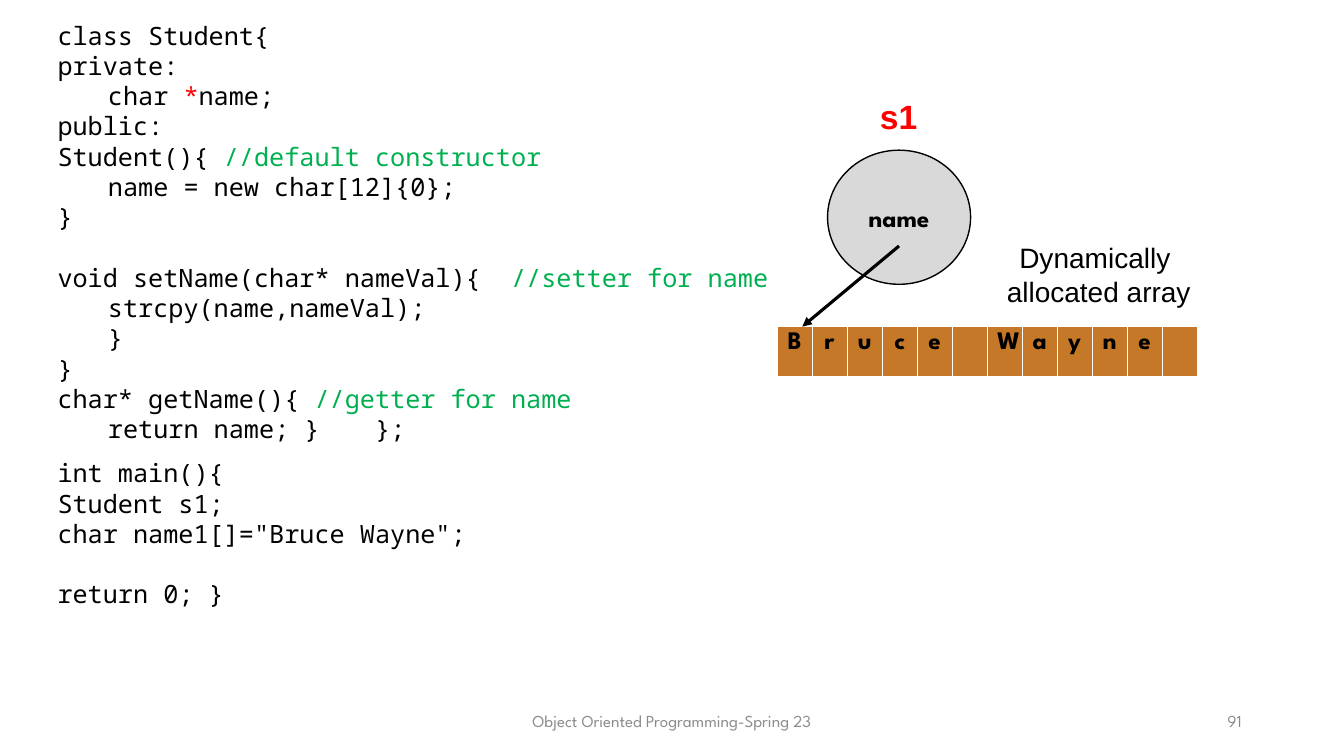
from pptx import Presentation
from pptx.dml.color import RGBColor
from pptx.enum.shapes import MSO_CONNECTOR as CONN, MSO_SHAPE as SHAPE
from pptx.enum.text import MSO_ANCHOR as ANCHOR, MSO_AUTO_SIZE as AUTO, PP_ALIGN as ALIGN
from pptx.oxml.ns import qn
from pptx.util import Pt
from lxml.etree import SubElement

THEME = {
    "black": "000000", "red": "FF0000", "green": "00B050", "grey": "8C8C8C",
    "circle": "D9D9D9", "cell": "C57827", "border": "FFFFFF",
    "code_font": "Noto Sans Mono", "label_font": "Arial", "body_font": "League Spartan",
    "code": 18, "label": 20, "title": 24, "footer": 12, "line_gap": 21.7,
}


def rgb(name):
    return RGBColor.from_string(THEME[name])


def write(tf, lines, font, size, align, bold=False):
    gap = 0
    for line in lines:
        if not line:
            gap = THEME["line_gap"]
            continue
        p = tf.paragraphs[0] if line is lines[0] else tf.add_paragraph()
        p.alignment = align
        if gap:
            p.space_before = Pt(gap)
            gap = 0
        for text, color in line:
            r = p.add_run()
            r.text = text
            r.font.name = THEME[font]
            r.font.size = Pt(THEME[size])
            r.font.bold = bold
            r.font.color.rgb = rgb(color)


class_code = [
    [("class Student{", "black")],
    [("private:", "black")],
    [("\tchar ", "black"), ("*", "red"), ("name;", "black")],
    [("public:", "black")],
    [("Student(){ ", "black"), ("//default constructor", "green")],
    [("\tname = new char[12]{0};", "black")],
    [("}", "black")],
    [],
    [("void setName(char* nameVal){  ", "black"), ("//setter for name", "green")],
    [("\tstrcpy(name,nameVal);", "black")],
    [("\t}", "black")],
    [("}", "black")],
    [("char* getName(){ ", "black"), ("//getter for name", "green")],
    [("\treturn name; }\t };", "black")],
]
main_code = [
    [("int main(){", "black")],
    [("Student s1;", "black")],
    [('char name1[]="Bruce Wayne";', "black")],
    [],
    [("return 0; }", "black")],
]
array_note = [[("Dynamically ", "black")], [("allocated array", "black")]]
footer = [[("Object Oriented Programming-Spring 23", "grey")]]

prs = Presentation()
prs.slide_width, prs.slide_height = Pt(960), Pt(540)
s = prs.slides.add_slide(prs.slide_layouts[6])

text_boxes = [
    (318, 500.5, 324, 28.8, footer, "body_font", "footer", ALIGN.CENTER, False, True),
    (678, 500.5, 216, 28.8, [[("91", "grey")]], "body_font", "footer", ALIGN.RIGHT, False, True),
    (34, 10.8, 682, 312.5, class_code, "code_font", "code", ALIGN.JUSTIFY, False, True),
    (34, 323.3, 480, 116.6, main_code, "code_font", "code", ALIGN.JUSTIFY, False, True),
    (621.4, 64.8, 41.8, 36, [[("s1", "red")]], "label_font", "title", ALIGN.LEFT, True, False),
    (711.4, 168.5, 146.9, 55.4, array_note, "label_font", "label", ALIGN.CENTER, False, False),
]
for x, y, w, h, lines, font, size, align, bold, wrap in text_boxes:
    tf = s.shapes.add_textbox(Pt(x), Pt(y), Pt(w), Pt(h)).text_frame
    tf.word_wrap = wrap
    if size == "footer":
        tf.vertical_anchor = ANCHOR.MIDDLE
    else:
        tf.auto_size = AUTO.SHAPE_TO_FIT_TEXT
    write(tf, lines, font, size, align, bold)

circle = s.shapes.add_shape(SHAPE.OVAL, Pt(591.1), Pt(107.3), Pt(102.2), Pt(95.8))
circle.shadow.inherit = False
circle.fill.solid()
circle.fill.fore_color.rgb = rgb("circle")
circle.line.color.rgb = rgb("black")
circle.line.width = Pt(1)
circle.text_frame.word_wrap = True
circle.text_frame.vertical_anchor = ANCHOR.MIDDLE
write(circle.text_frame, [[("name", "black")]], "body_font", "code", ALIGN.CENTER, True)

letters = "Bruce Wayne "
table = s.shapes.add_table(1, len(letters), Pt(555.1), Pt(233.3), Pt(300.24), Pt(36.7)).table
for col, letter in enumerate(letters):
    table.columns[col].width = Pt(25.02)
    cell = table.cell(0, col)
    tc_pr = cell._tc.get_or_add_tcPr()
    for side, width in (("L", 1), ("R", 1), ("T", 1), ("B", 3)):
        ln = SubElement(tc_pr, qn(f"a:ln{side}"), w=str(Pt(width)))
        fill = SubElement(ln, qn("a:solidFill"))
        SubElement(fill, qn("a:srgbClr"), val=THEME["border"])
    cell.fill.solid()
    cell.fill.fore_color.rgb = rgb("cell")
    if letter != " ":
        write(cell.text_frame, [[(letter, "black")]], "body_font", "code", ALIGN.CENTER, True)

pointer = s.shapes.add_connector(CONN.STRAIGHT, Pt(642.2), Pt(175.7), Pt(573.1), Pt(233.3))
pointer.line.color.rgb = rgb("black")
pointer.line.width = Pt(2.25)
SubElement(pointer.line._get_or_add_ln(), qn("a:tailEnd"), type="triangle")
SubElement(pointer._element.spPr, qn("a:effectLst"))

prs.save("out.pptx")
